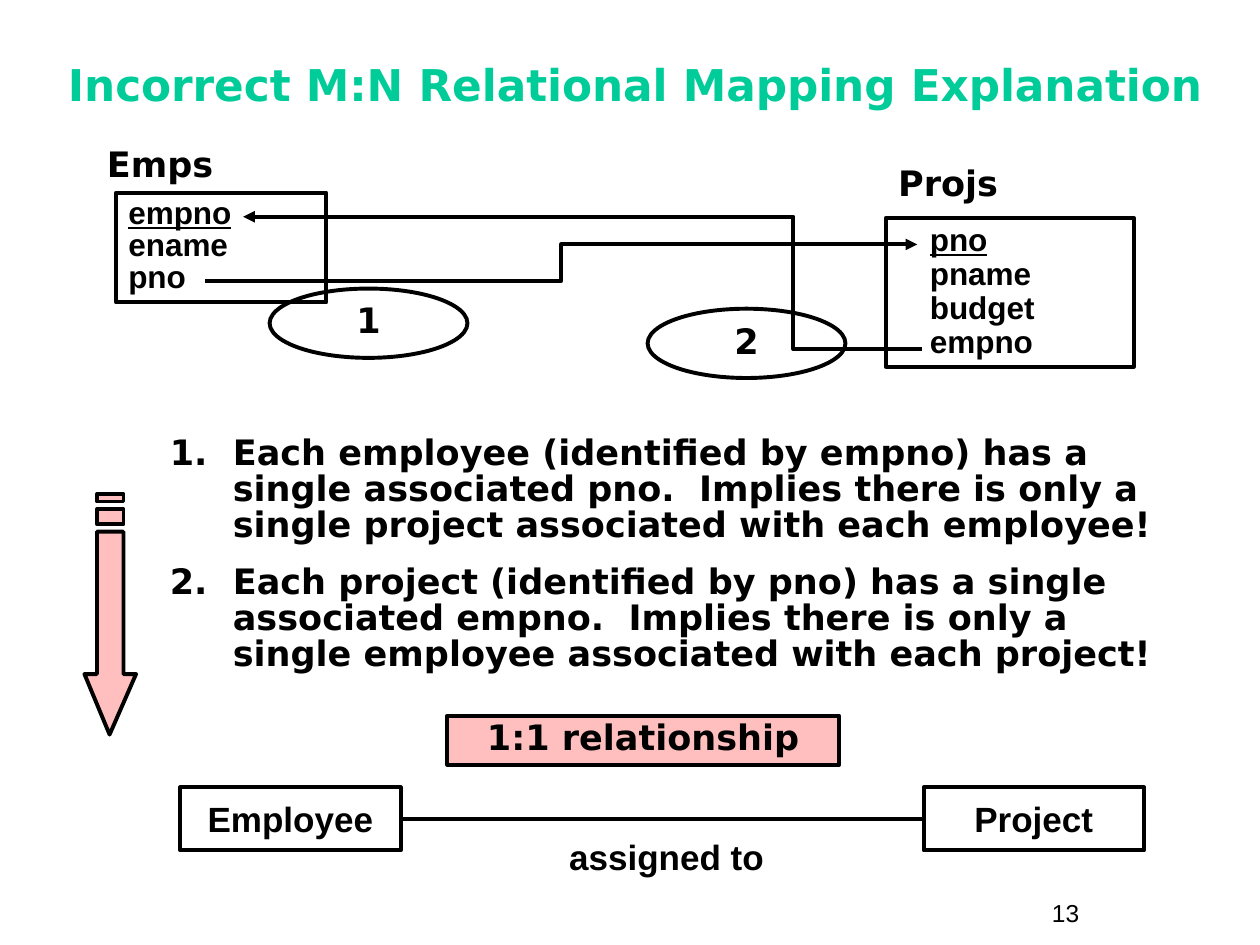
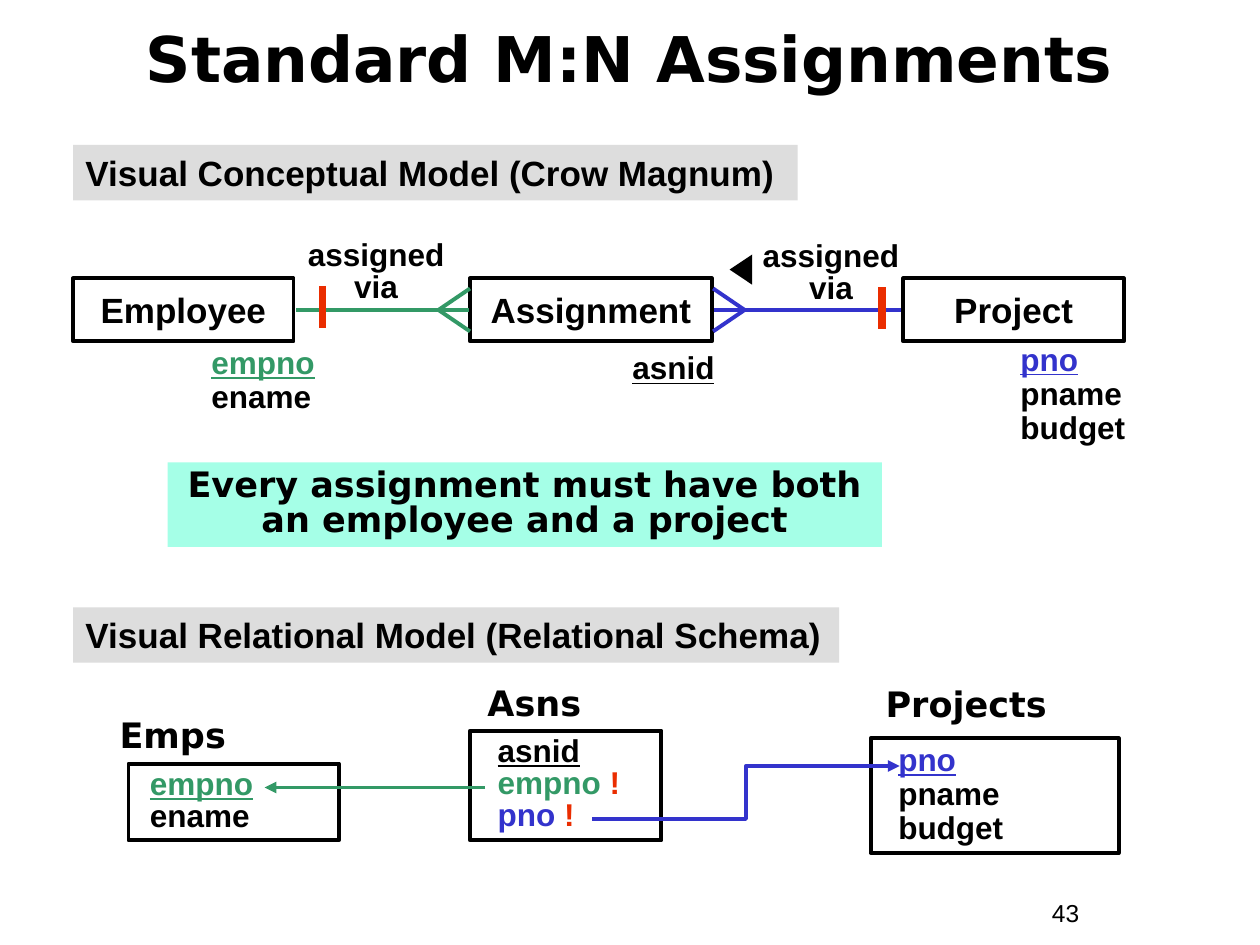
import pptx
import pptx.util
import pptx.dml.color
import pptx.enum.shapes
import pptx.enum.text
import pptx.oxml.ns
import lxml.etree

RGB = pptx.dml.color.RGBColor
KIND = pptx.enum.shapes.MSO_SHAPE
LINK = pptx.enum.shapes.MSO_CONNECTOR
ANCHOR = pptx.enum.text.MSO_ANCHOR
ALIGN = pptx.enum.text.PP_ALIGN

BLACK = RGB(0x00, 0x00, 0x00)
MINT = RGB(0x00, 0xCC, 0x99)
GREEN = RGB(0x33, 0x99, 0x66)
BLUE = RGB(0x33, 0x33, 0xCC)
RED = RGB(0xEA, 0x2D, 0x00)
PINK = RGB(0xFF, 0xBF, 0xBF)
GREY = RGB(0xDD, 0xDD, 0xDD)
AQUA = RGB(0xA5, 0xFF, 0xE7)

WIDE, HIGH = pptx.util.Inches(10), pptx.util.Inches(7.5)
COLS = 100
UNIT = WIDE // COLS
SANS, ARIAL = "DejaVu Sans", "Arial"

# style: font, size, bold, line spacing
STYLES = {
    "page": (ARIAL, 14, False, 1),
    "small": (SANS, 25, True, 0.8),
    "large": (SANS, 36, True, 1),
    "head": (SANS, 20, True, 1),
    "note": (SANS, 20, True, 0.85),
    "name": (ARIAL, 20, True, 1),
    "verb": (ARIAL, 18, True, 0.85),
    "tight": (ARIAL, 18, True, 0.85),
    "loose": (ARIAL, 18, True, 0.9),
}

TITLES = [
    ("Incorrect M:N Relational Mapping Explanation", (3.3, 3.6, 94.2, 6.9), "small", MINT, "13"),
    ("Standard M:N Assignments", (3.3, 0.8, 93.3, 7.5), "large", BLACK, "43"),
]


def key(text, color=BLACK):
    return [(text, color, True)]


def must(text, color):
    return [(text + " ", color, False), ("!", RED, False)]


TABLES = [
    [
        ("Projs", (70.3, 12.3), (70.3, 17.3, 19.7, 11.8), 2.5, "loose",
         [key("pno"), "pname", "budget", "empno"]),
        ("Emps", (7.5, 10.8), (9.2, 15.3, 16.7, 8.7), 0, "tight",
         [key("empno"), "ename", "pno"]),
    ],
    [
        ("Asns", (37.7, 53.6), (37.3, 58, 15.2, 8.7), 1.2, "tight",
         [key("asnid"), must("empno", GREEN), must("pno", BLUE)]),
        ("Projects", (69.3, 53.7), (69.1, 58.6, 19.7, 9.1), 1.2, "loose",
         [key("pno", BLUE), "pname", "budget"]),
        ("Emps", (8.5, 56.1), (10.2, 60.6, 16.7, 6.1), 0.7, "tight",
         [key("empno", GREEN), "ename"]),
    ],
]
NODES = [
    [("Employee", 14.3, 62.5, 17.5), ("Project", 73.3, 62.5, 17.5)],
    [("Employee", 5.8, 22.1, 17.5), ("Assignment", 37.3, 22.1, 19.2), ("Project", 71.7, 22.1, 17.5)],
]
MARKS = [("1", 21.4, 22.9), ("2", 51.4, 24.5)]
POINTS = [
    "Each employee (identified by empno) has a single associated pno.  Implies there is only a "
    "single project associated with each employee!",
    "Each project (identified by pno) has a single associated empno.  Implies there is only a "
    "single employee associated with each project!",
]
ARROW = [
    [(98, 422), (98, 535), (108, 535), (87, 583), (67, 535), (77, 535), (77, 422)],
    [(98, 392), (98, 398), (77, 398), (77, 392)],
    [(98, 404), (98, 416), (77, 416), (77, 404)],
]
BANDS = [
    ("Visual Conceptual Model (Crow Magnum)", 11.5, 57.5),
    ("Visual Relational Model (Relational Schema)", 48.2, 60.8),
]
FIELDS = [
    ((15.8, 27.1, 15, 6.4), [key("empno", GREEN), "ename"]),
    ((80, 26.8, 15.8, 9.1), [key("pno", BLUE), "pname", "budget"]),
    ((49.2, 27.5, 17.5, 3.7), [key("asnid")]),
]
VERBS = [(23.2, 18.6), (59.3, 18.7)]
ROW = 24.6
FEET = [(23.5, 37.2, 37.3, 34.8, GREEN), (71.5, 56.7, 56.6, 59.1, BLUE)]
BARS = [(70, 22.8), (25.6, 22.7)]


def grid(*spots):
    return [pptx.util.Emu(round(n * UNIT)) for n in spots]


def sub(node, tag, **attrs):
    return lxml.etree.SubElement(node, pptx.oxml.ns.qn("a:" + tag), **attrs)


def paint(shape, fill, edge):
    shape.shadow.inherit = False
    if fill is None:
        shape.fill.background()
    else:
        shape.fill.solid()
        shape.fill.fore_color.rgb = fill
    if edge:
        shape.line.color.rgb = BLACK
        shape.line.width = pptx.util.Pt(2.25)
    else:
        shape.line.fill.background()


def write(shape, lines, style, color=BLACK, mid=False, top=True, wrap=True, pad=0, count=False):
    font, size, bold, pitch = STYLES[style]
    frame = shape.text_frame
    frame.word_wrap = wrap
    frame.vertical_anchor = ANCHOR.TOP if top else ANCHOR.MIDDLE
    frame.margin_left, = grid(1 + pad)
    for i, line in enumerate(lines):
        para = frame.add_paragraph() if i else frame.paragraphs[0]
        para.alignment = ALIGN.CENTER if mid else ALIGN.LEFT
        para.line_spacing = pitch
        if count:
            if i:
                para.space_before = pptx.util.Pt(12.5)
            props = para._p.get_or_add_pPr()
            hang, = grid(5)
            props.set("marL", str(hang))
            props.set("indent", str(-hang))
            sub(props, "buFont", typeface=font)
            sub(props, "buAutoNum", type="arabicPeriod")
        for text, tint, under in [(line, color, False)] if isinstance(line, str) else line:
            run = para.add_run()
            run.text = text
            run.font.name = font
            run.font.size = pptx.util.Pt(size)
            run.font.bold = bold
            run.font.underline = under
            run.font.color.rgb = tint


def label(slide, at, lines, style, **opts):
    write(slide.shapes.add_textbox(*grid(*at)), lines, style, **opts)


def box(slide, at, lines, style, kind=KIND.RECTANGLE, fill=None, edge=True, **opts):
    shape = slide.shapes.add_shape(kind, *grid(*at))
    paint(shape, fill, edge)
    if lines:
        write(shape, lines, style, **opts)
    return shape


def link(slide, start, end, color=BLACK, width=2.25, head=False, bend=None):
    turn = bend is not None and start[0] > end[0]
    ends = (*end, *start) if turn else (*start, *end)
    kind = LINK.STRAIGHT if bend is None else LINK.ELBOW
    line = slide.shapes.add_connector(kind, *grid(*ends))
    line.line.color.rgb = color
    line.line.width = pptx.util.Pt(width)
    props = line._element.spPr
    if turn:
        props.find(pptx.oxml.ns.qn("a:xfrm")).set("rot", "10800000")
    if bend is not None:
        guides = props.find(pptx.oxml.ns.qn("a:prstGeom")).get_or_add_avLst()
        sub(guides, "gd", name="adj1", fmla=f"val {round(bend * 100000)}")
    if head:
        sub(line.line._get_or_add_ln(), "tailEnd", type="triangle")
    sub(props, "effectLst")


def base(deck, index):
    slide = deck.slides.add_slide(deck.slide_layouts[6])
    title, at, style, color, page = TITLES[index]
    label(slide, (82.5, 70.8, 9.2, 3.4), [page], "page")
    label(slide, at, [title], style, color=color, mid=True, top=False)
    for name, spot, place, pad, look, lines in TABLES[index]:
        label(slide, (*spot, 21.5, 4.4), [name], "head")
        box(slide, place, lines, look, pad=pad)
    for name, x, y, w in NODES[index]:
        box(slide, (x, y, w, 5), [name], "name", mid=True, top=False, wrap=False)
    return slide


def wrong(deck):
    slide = base(deck, 0)
    link(slide, (73.2, 27.7), (19.3, 17.2), head=True, bend=0.19)
    link(slide, (16.3, 22.3), (72.8, 19.4), head=True, bend=0.5)
    for text, x, y in MARKS:
        box(slide, (x, y, 15.7, 5.5), [text], "note", KIND.OVAL, mid=True, top=False, wrap=False)
    label(slide, (12.5, 34.2, 80, 19.8), POINTS, "note", count=True)
    link(slide, (32, 65), (73.2, 65))
    label(slide, (42.5, 65.8, 20.8, 4.4), ["assigned to"], "name", mid=True)
    path = slide.shapes.build_freeform(*ARROW[0][0], scale=UNIT / 10)
    for i, part in enumerate(ARROW):
        if i:
            path.move_to(*part[0])
        path.add_line_segments(part[1:], close=True)
    paint(path.convert_to_shape(), PINK, True)
    box(slide, (35.5, 56.8, 31.1, 3.9), ["1:1 relationship"], "note", fill=PINK,
        mid=True, top=False, wrap=False)


def right(deck):
    slide = base(deck, 1)
    for start, end, edge, tip, color in FEET:
        link(slide, (start, ROW), (end, ROW), color)
        for side in (-1.7, 1.7):
            link(slide, (tip, ROW), (edge, ROW + side), color)
    for spot in VERBS:
        label(slide, (*spot, 13.3, 6.1), ["assigned via"], "verb", mid=True)
    for at, lines in FIELDS:
        label(slide, at, lines, "loose")
    flag = box(slide, (57.6, 20.5, 2.4, 1.8), [], "verb", KIND.ISOSCELES_TRIANGLE,
               fill=BLACK, edge=False)
    flag.rotation = 270
    link(slide, (38.5, 62.5), (21, 62.5), GREEN, head=True)
    link(slide, (47, 65), (71.4, 60.8), BLUE, head=True, bend=0.5)
    for text, y, w in BANDS:
        box(slide, (5.8, y, w, 4.4), [text], "name", fill=GREY, edge=False)
    for x, y in BARS:
        link(slide, (x, y), (x, y + 3.3), RED, 4.5)
    box(slide, (13.3, 36.7, 56.7, 6.7), ["Every assignment must have both an employee and a project"],
        "note", fill=AQUA, edge=False, mid=True)


def main():
    deck = pptx.Presentation()
    deck.slide_width, deck.slide_height = WIDE, HIGH
    wrong(deck)
    right(deck)
    deck.save("out.pptx")


if __name__ == "__main__":
    main()
